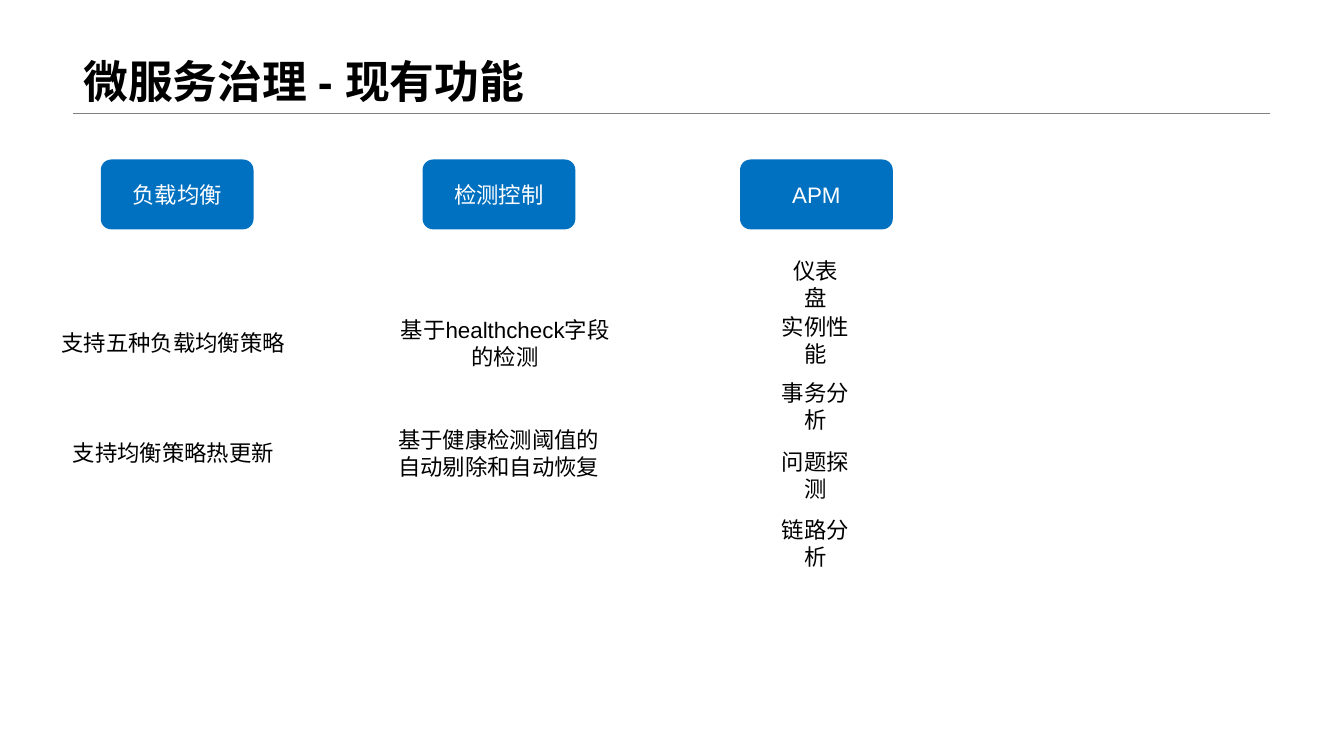
from lxml import etree
from pptx import Presentation
from pptx.dml.color import RGBColor
from pptx.enum.shapes import MSO_CONNECTOR, MSO_SHAPE
from pptx.enum.text import MSO_ANCHOR, MSO_AUTO_SIZE, PP_ALIGN
from pptx.oxml.ns import qn
from pptx.util import Cm, Pt


def color(hex_value):
    """Turn a hex string into a colour."""
    return RGBColor.from_string(hex_value)


def assign(target, values):
    """Set each named attribute on the target."""
    for name, value in values.items():
        setattr(target, name, value)


class FeatureSlide:
    """Hold the style and the current slide."""

    BLACK, WHITE, BLUE, GRAY = "000000", "FFFFFF", "0070C0", "808080"
    BODY = {"name": "Arial", "size": Pt(16), "bold": False}
    HEADING = {"name": "Arial", "size": Pt(32), "bold": True}

    def __init__(self, deck):
        """Add a title-only slide to the deck."""
        self.slide = deck.slides.add_slide(deck.slide_layouts[5])
        self.shapes = self.slide.shapes

    def fill_text(self, frame, lines, font, ink, align, anchor, inset, **frame_values):
        """Fill a text frame with formatted lines."""
        margins = dict.fromkeys(
            ("margin_left", "margin_right", "margin_top", "margin_bottom"), Cm(inset))
        assign(frame, {"text": lines, "vertical_anchor": anchor, **margins, **frame_values})
        for paragraph in frame.paragraphs:
            paragraph.alignment = align
            assign(paragraph.font, font)
            paragraph.font.color.rgb = color(ink)

    def title(self, words, left, top, width, height):
        """Place and format the title."""
        title = self.shapes.title
        assign(title, {"left": Cm(left), "top": Cm(top),
                       "width": Cm(width), "height": Cm(height)})
        self.fill_text(title.text_frame, words, self.HEADING, self.BLACK, PP_ALIGN.LEFT,
                       MSO_ANCHOR.BOTTOM, 0.25, word_wrap=True,
                       auto_size=MSO_AUTO_SIZE.NONE,
                       margin_top=Cm(0.13), margin_bottom=Cm(0.13))
        title.text_frame.paragraphs[0].line_spacing = 0.9

    def rule(self, left, right, y):
        """Draw the thin line below the title."""
        rule = self.shapes.add_connector(
            MSO_CONNECTOR.STRAIGHT, Cm(left), Cm(y), Cm(right), Cm(y))
        rule.line.color.rgb = color(self.GRAY)
        rule.line.width = Pt(0.25)
        etree.SubElement(rule._element.spPr, qn("a:effectLst"))

    def header(self, words, left, top, width, height):
        """Draw a rounded column header."""
        header = self.shapes.add_shape(
            MSO_SHAPE.ROUNDED_RECTANGLE, Cm(left), Cm(top), Cm(width), Cm(height))
        header.shadow.inherit = False
        header.adjustments[0] = 0.15
        header.fill.solid()
        header.fill.fore_color.rgb = color(self.BLUE)
        header.line.fill.background()
        self.fill_text(header.text_frame, words, self.BODY, self.WHITE, PP_ALIGN.CENTER,
                       MSO_ANCHOR.MIDDLE, 0, word_wrap=True)

    def feature(self, words, center_x, center_y, width, height, wrap=False):
        """Add a feature label around its centre point."""
        label = self.shapes.add_textbox(
            Cm(center_x - width / 2), Cm(center_y - height / 2), Cm(width), Cm(height))
        self.fill_text(label.text_frame, words, self.BODY, self.BLACK, PP_ALIGN.CENTER,
                       MSO_ANCHOR.MIDDLE, 0.08, word_wrap=wrap,
                       auto_size=MSO_AUTO_SIZE.SHAPE_TO_FIT_TEXT)


def main():
    """Build and save the slide."""
    deck = Presentation()
    assign(deck, {"slide_width": Cm(33.87), "slide_height": Cm(19.05)})
    page = FeatureSlide(deck)
    page.title("微服务治理 - 现有功能", 1.85, 0, 30.15, 2.85)
    page.rule(1.85, 32, 2.85)

    one_line, two_lines = 0.81, 1.5
    columns = [
        ("负载均衡", 2.54, [
            ("支持五种负载均衡策略", 4.37, 8.64, 5.79, one_line),
            ("支持均衡策略热更新", 4.37, 11.41, 5.23, one_line)]),
        ("检测控制", 10.65, [
            ("基于healthcheck字段的检测", 12.73, 8.64, 5.59, two_lines, True),
            ("基于健康检测阈值的\n自动剔除和自动恢复", 12.57, 11.41, 5.23, two_lines)]),
        ("APM", 18.65, [
            ("仪表盘", 20.55, 7.16, 1.83, one_line),
            ("实例性能", 20.55, 8.56, 2.39, one_line),
            ("事务分析", 20.55, 10.24, 2.39, one_line),
            ("问题探测", 20.55, 11.97, 2.39, one_line),
            ("链路分析", 20.55, 13.69, 2.39, one_line)]),
    ]
    for heading, left, features in columns:
        page.header(heading, left, 4.02, 3.85, 1.76)
        for feature in features:
            page.feature(*feature)
    deck.save("out.pptx")


if __name__ == "__main__":
    main()
